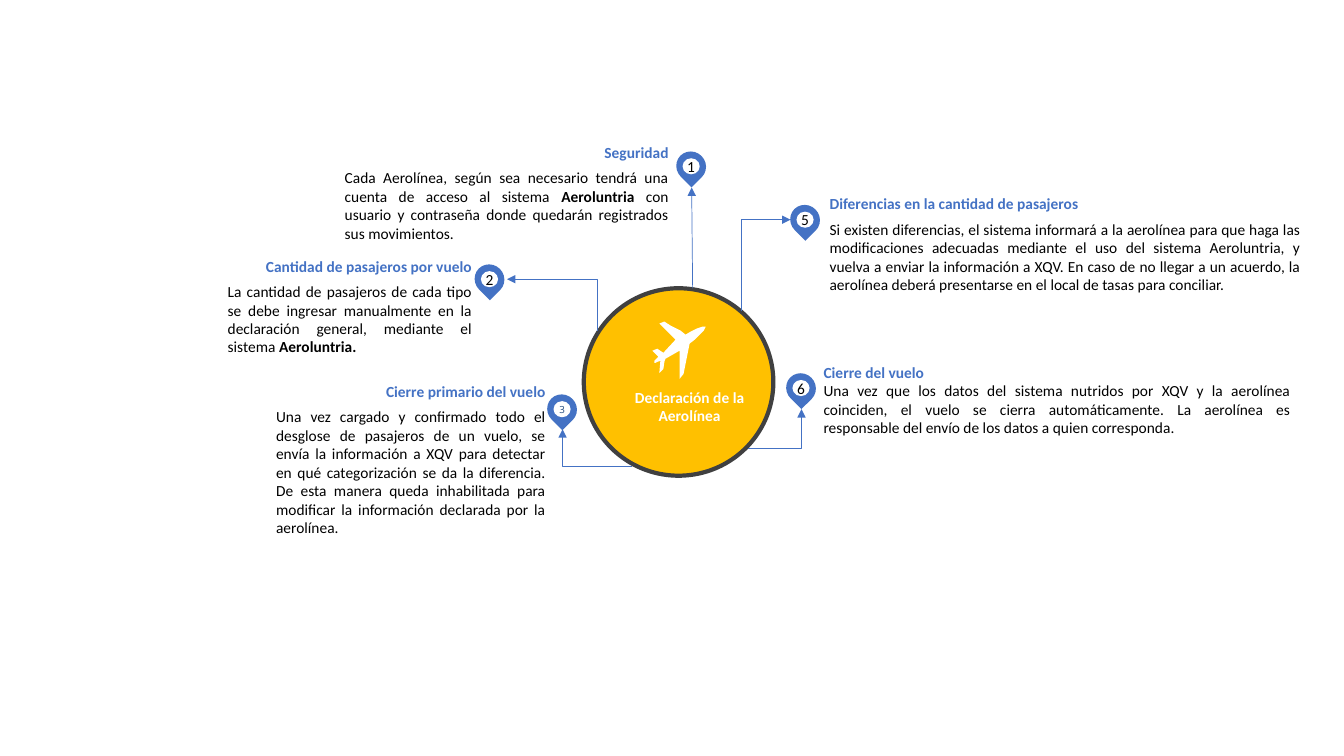
from dataclasses import dataclass

from lxml.etree import SubElement
from pptx import Presentation
from pptx.dml.color import RGBColor
from pptx.enum.shapes import MSO_CONNECTOR, MSO_SHAPE
from pptx.enum.text import MSO_ANCHOR, MSO_AUTO_SIZE, PP_ALIGN
from pptx.oxml.ns import qn
from pptx.util import Inches, Pt


@dataclass(frozen=True)
class Theme:
    blue: RGBColor = RGBColor(0x44, 0x72, 0xC4)
    navy: RGBColor = RGBColor(0x1F, 0x49, 0x7D)
    amber: RGBColor = RGBColor(0xFF, 0xC0, 0x00)
    gray: RGBColor = RGBColor(0x40, 0x40, 0x40)
    white: RGBColor = RGBColor(0xFF, 0xFF, 0xFF)
    black: RGBColor = RGBColor(0x00, 0x00, 0x00)
    font: str = "Calibri"
    small_font: str = "Open Sans"
    body: float = 11
    small: float = 7
    gap: float = 4.8
    thin: float = 0.5
    ring: float = 3


THEME = Theme()
LEFT, RIGHT, CENTER, JUSTIFY = PP_ALIGN.LEFT, PP_ALIGN.RIGHT, PP_ALIGN.CENTER, PP_ALIGN.JUSTIFY

PLANE = [
    (6.59, 3.19), (6.54, 3.21), (6.7, 3.37), (6.58, 3.5), (6.52, 3.46), (6.47, 3.48),
    (6.53, 3.54), (6.52, 3.55), (6.5, 3.57), (6.49, 3.58), (6.49, 3.6), (6.5, 3.6),
    (6.52, 3.59), (6.55, 3.58), (6.54, 3.7), (6.58, 3.66), (6.59, 3.59), (6.6, 3.56),
    (6.74, 3.48), (6.74, 3.76), (6.78, 3.71), (6.84, 3.41), (6.89, 3.37), (6.94, 3.32),
    (6.98, 3.28), (7, 3.24), (6.97, 3.24), (6.91, 3.26), (6.85, 3.29), (6.8, 3.32),
    (6.75, 3.28), (6.65, 3.23),
]

NOTES = [
    ((3.32, 1.37, 3.41, 1.1), RIGHT, THEME.gap, "Seguridad", [
        ("Cada Aerolínea, según sea necesario tendrá una cuenta de acceso al sistema ", False),
        ("Aeroluntria", True),
        (" con usuario y contraseña donde quedarán registrados sus movimientos.", False)]),
    ((2.16, 2.5, 2.62, 1.1), RIGHT, THEME.gap, "Cantidad de pasajeros por vuelo", [
        ("La cantidad de pasajeros de cada tipo se debe ingresar manualmente en la "
         "declaración general, mediante el sistema ", False),
        ("Aeroluntria.", True)]),
    ((2.64, 3.74, 2.87, 1.65), RIGHT, THEME.gap, "Cierre primario del vuelo", [
        ("Una vez cargado y confirmado todo el desglose de pasajeros de un vuelo, se envía "
         "la información a XQV para detectar en qué categorización se da la diferencia. De "
         "esta manera queda inhabilitada para modificar la información declarada por la "
         "aerolínea.", False)]),
    ((8.13, 1.88, 4.87, 1.1), LEFT, THEME.gap, "Diferencias en la cantidad de pasajeros", [
        ("Si existen diferencias, el sistema informará a la aerolínea para que haga las "
         "modificaciones adecuadas mediante el uso del sistema Aeroluntria, y vuelva a enviar "
         "la información a XQV. En caso de no llegar a un acuerdo, la aerolínea deberá "
         "presentarse en el local de tasas para conciliar.", False)]),
    ((8.07, 3.55, 4.83, 0.84), LEFT, 0, "Cierre del vuelo", [
        ("Una vez que los datos del sistema nutridos por XQV y la aerolínea coinciden, el "
         "vuelo se cierra automáticamente. La aerolínea es responsable del envío de los datos "
         "a quien corresponda.", False)]),
]

PINS = [("1", 6.71, 1.5), ("2", 4.71, 2.62), ("3", 5.43, 3.91), ("5", 7.84, 2.03), ("6", 7.8, 3.7)]

ARROWS = [
    ("line", (6.87, 2.86), (6.86, 1.86)),
    ("vertical first", (5.93, 3.28), (5.03, 2.77)),
    ("vertical first", (7.35, 3.09), (7.84, 2.18)),
    ("horizontal first", (6.27, 4.63), (5.58, 4.26)),
    ("horizontal first", (7.42, 4.45), (7.95, 4.06)),
]


def add_run(p, text, color, bold=False, size=THEME.body, font=THEME.font):
    r = p.add_run()
    r.text = text
    r.font.name = font
    r.font.size = Pt(size)
    r.font.bold = bold
    r.font.color.rgb = color


def clear_insets(tf):
    tf.margin_left = tf.margin_right = tf.margin_top = tf.margin_bottom = 0


def paint(sp, color):
    sp.shadow.inherit = False
    sp.fill.solid()
    sp.fill.fore_color.rgb = color
    sp.line.fill.background()


def add_filled(shapes, kind, box, color):
    sp = shapes.add_shape(kind, *map(Inches, box))
    paint(sp, color)
    return sp


def add_hub(shapes):
    hub = add_filled(shapes, MSO_SHAPE.OVAL, (5.79, 2.86, 1.88, 1.86), THEME.amber)
    hub.line.color.rgb = THEME.gray
    hub.line.width = Pt(THEME.ring)

    builder = shapes.build_freeform(*map(Inches, PLANE[0]), scale=1.0)
    builder.add_line_segments([(Inches(x), Inches(y)) for x, y in PLANE[1:]], close=True)
    paint(builder.convert_to_shape(), THEME.white)

    tf = shapes.add_textbox(*map(Inches, (6.14, 3.85, 1.4, 0.38))).text_frame
    tf.word_wrap = True
    clear_insets(tf)
    p = tf.paragraphs[0]
    p.alignment = CENTER
    add_run(p, "Declaración de la Aerolínea", THEME.white, bold=True)


def add_pin(shapes, number, x, y):
    pin = shapes.add_group_shape().shapes
    add_filled(pin, MSO_SHAPE.TEAR, (x, y, 0.29, 0.3), THEME.blue).rotation = 135
    sp = add_filled(pin, MSO_SHAPE.OVAL, (x + 0.06, y + 0.07, 0.17, 0.16), THEME.white)
    tf = sp.text_frame
    tf.vertical_anchor = MSO_ANCHOR.MIDDLE
    clear_insets(tf)
    p = tf.paragraphs[0]
    p.alignment = CENTER
    if number == "3":
        add_run(p, number, THEME.navy, size=THEME.small, font=THEME.small_font)
    else:
        add_run(p, number, THEME.black)


def add_note(shapes, box, title_align, gap, title, body):
    tf = shapes.add_textbox(*map(Inches, box)).text_frame
    tf.word_wrap = True
    tf.auto_size = MSO_AUTO_SIZE.SHAPE_TO_FIT_TEXT
    p = tf.paragraphs[0]
    p.alignment = title_align
    p.space_before = Pt(gap)
    add_run(p, title, THEME.blue, bold=True)
    p = tf.add_paragraph()
    p.alignment = JUSTIFY
    p.space_before = Pt(gap)
    for text, bold in body:
        add_run(p, text, THEME.black, bold)


def add_arrow(shapes, route, start, end):
    kind = MSO_CONNECTOR.STRAIGHT if route == "line" else MSO_CONNECTOR.ELBOW
    sp = shapes.add_connector(kind, *map(Inches, start + end))
    sp.line.color.rgb = THEME.blue
    sp.line.width = Pt(THEME.thin)
    SubElement(sp.line._get_or_add_ln(), qn("a:tailEnd"), type="triangle")
    props = sp._element.spPr
    SubElement(props, qn("a:effectLst"))
    geom = props.find(qn("a:prstGeom"))
    if route == "horizontal first":
        geom.set("prst", "bentConnector2")
    elif route == "vertical first":
        SubElement(geom.find(qn("a:avLst")), qn("a:gd"), name="adj1", fmla="val 0")


def main():
    prs = Presentation()
    prs.slide_width, prs.slide_height = Inches(13.33), Inches(7.5)
    shapes = prs.slides.add_slide(prs.slide_layouts[6]).shapes
    add_hub(shapes)
    for pin in PINS:
        add_pin(shapes, *pin)
    for note in NOTES:
        add_note(shapes, *note)
    for arrow in ARROWS:
        add_arrow(shapes, *arrow)
    prs.save("out.pptx")


main()
